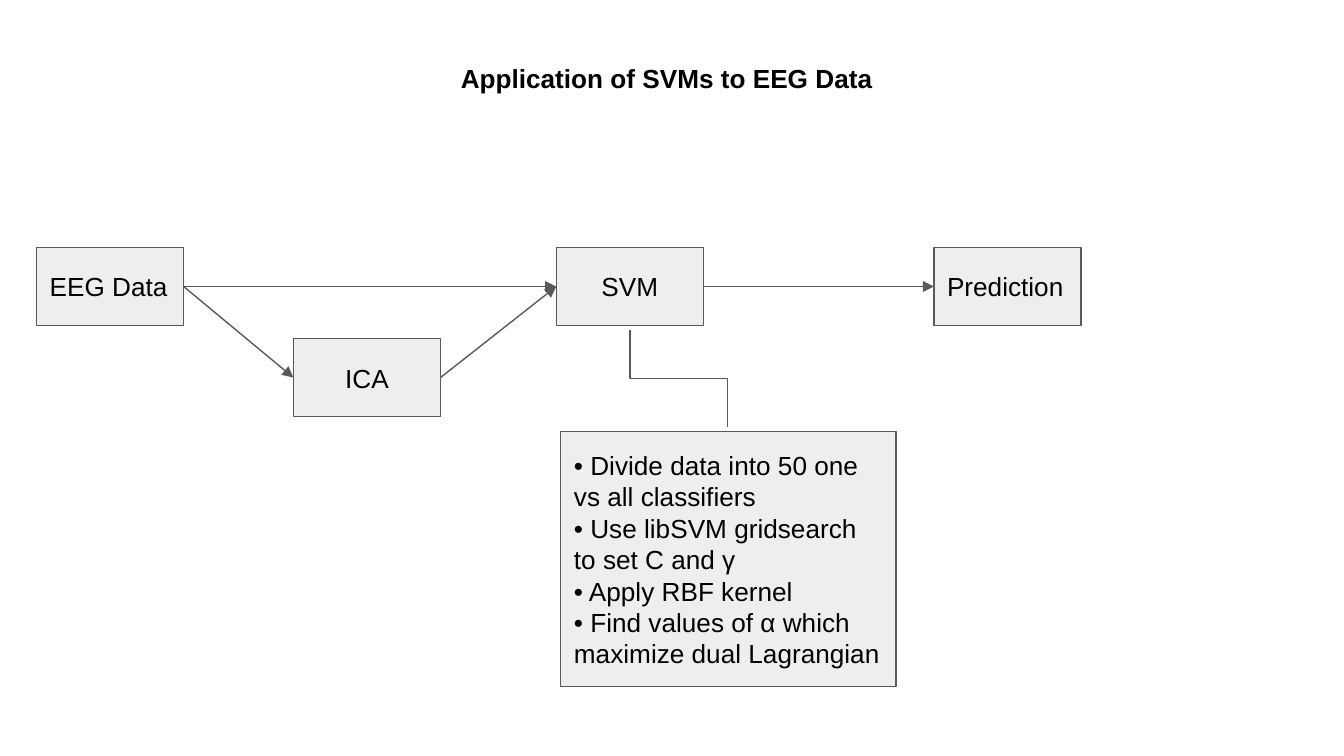
from lxml import etree
from pptx import Presentation
from pptx.dml.color import RGBColor
from pptx.enum.shapes import MSO_CONNECTOR, MSO_SHAPE
from pptx.enum.text import MSO_ANCHOR, MSO_AUTO_SIZE, PP_ALIGN
from pptx.oxml.ns import qn
from pptx.util import Pt

RECTANGLE = MSO_SHAPE.RECTANGLE
STRAIGHT, ELBOW = MSO_CONNECTOR.STRAIGHT, MSO_CONNECTOR.ELBOW
LEFT, CENTER = PP_ALIGN.LEFT, PP_ALIGN.CENTER
TOP, MIDDLE = MSO_ANCHOR.TOP, MSO_ANCHOR.MIDDLE
GROW = MSO_AUTO_SIZE.SHAPE_TO_FIT_TEXT
BLACK = RGBColor(0x00, 0x00, 0x00)
GRAY = RGBColor(0x59, 0x59, 0x59)
PALE = RGBColor(0xEE, 0xEE, 0xEE)
LEFT_SIDE, RIGHT_SIDE = 1, 3
STEP_WIDTH, STEP_HEIGHT = 78.8, 41.8
MAIN_ROW, ICA_ROW = 132.6, 181.4


def write(frame, text, bold=False, align=LEFT, anchor=MIDDLE):
    frame.word_wrap = True
    frame.vertical_anchor = anchor
    frame.margin_left = frame.margin_right = Pt(7.2)
    frame.margin_top = frame.margin_bottom = Pt(7.2)
    for index, line in enumerate(text.split("\n")):
        para = frame.add_paragraph() if index else frame.paragraphs[0]
        para.alignment = align
        span = para.add_run()
        span.text = line
        span.font.name = "Arial"
        span.font.size = Pt(14)
        span.font.bold = bold
        span.font.color.rgb = BLACK


class Diagram:
    def __init__(self, page, fill=PALE, line=GRAY, weight=0.75):
        self.page = page
        self.fill = fill
        self.line = line
        self.weight = Pt(weight)

    def title(self, text, left, top, width, height):
        box = self.page.shapes.add_textbox(Pt(left), Pt(top), Pt(width), Pt(height))
        write(box.text_frame, text, bold=True, anchor=TOP)
        box.text_frame.auto_size = GROW

    def box(self, text, left, top, width=STEP_WIDTH, height=STEP_HEIGHT, align=LEFT):
        box = self.page.shapes.add_shape(
            RECTANGLE, Pt(left), Pt(top), Pt(width), Pt(height))
        box.shadow.inherit = False
        box.fill.solid()
        box.fill.fore_color.rgb = self.fill
        box.line.color.rgb = self.line
        box.line.width = self.weight
        write(box.text_frame, text, align=align)
        return box

    def connector(self, kind, *ends):
        connector = self.page.shapes.add_connector(kind, *(Pt(end) for end in ends))
        connector.line.color.rgb = self.line
        connector.line.width = self.weight
        etree.SubElement(connector._element.spPr, qn("a:effectLst"))
        return connector

    def arrow(self, source, target):
        arrow = self.connector(STRAIGHT, 0, 0, 0, 0)
        arrow.begin_connect(source, RIGHT_SIDE)
        arrow.end_connect(target, LEFT_SIDE)
        etree.SubElement(arrow.line._get_or_add_ln(), qn("a:tailEnd"), type="triangle")

    def elbow_down(self, left, top, size):
        elbow = self.connector(ELBOW, left + size, top, left, top + size)
        elbow._element.spPr.find(qn("a:xfrm")).set("rot", str(270 * 60000))


def main():
    deck = Presentation()
    deck.slide_width, deck.slide_height = Pt(720), Pt(405)
    page = deck.slides.add_slide(deck.slide_layouts[6])
    diagram = Diagram(page)

    diagram.title("Application of SVMs to EEG Data", 239.8, 26, 240.5, 31.7)
    data = diagram.box("EEG Data", 19.6, MAIN_ROW)
    svm = diagram.box("SVM", 298, MAIN_ROW, align=CENTER)
    ica = diagram.box("ICA", 157.2, ICA_ROW, align=CENTER)
    prediction = diagram.box("Prediction", 500.3, MAIN_ROW)
    for source, target in ((data, ica), (data, svm), (ica, svm), (svm, prediction)):
        diagram.arrow(source, target)

    diagram.elbow_down(337.6, 176.7, 52)
    diagram.box(
        "• Divide data into 50 one vs all classifiers\n"
        "• Use libSVM gridsearch to set C and γ\n"
        "• Apply RBF kernel\n"
        "• Find values of α which maximize dual Lagrangian",
        300.4, 231.2, 179.7, 136.8)

    deck.save("out.pptx")


if __name__ == "__main__":
    main()
